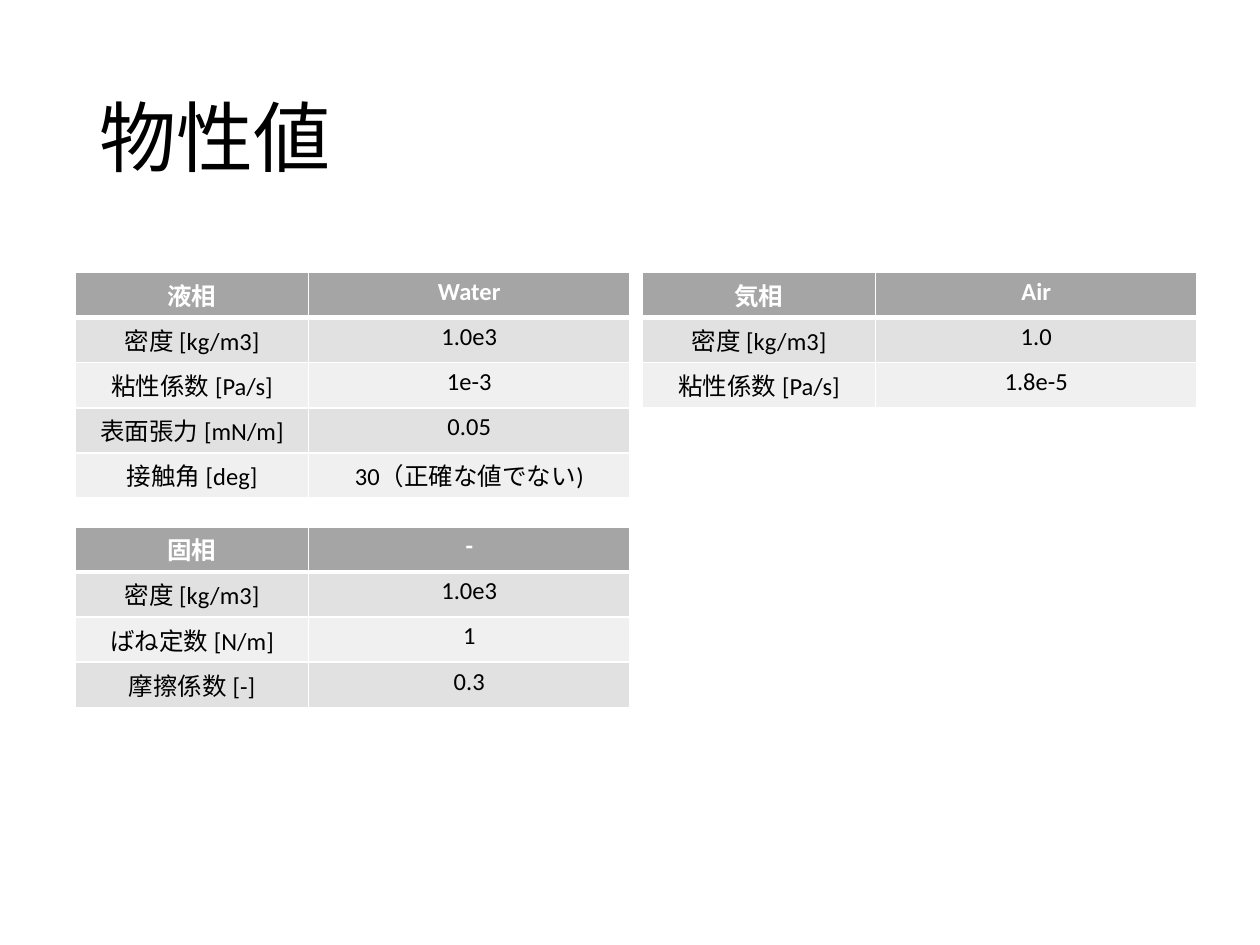
from lxml import etree
from pptx import Presentation
from pptx import util as u
from pptx.dml.color import RGBColor
from pptx.enum import text
from pptx.oxml.ns import qn

TITLE = "物性値"
LIQUID = [
    ("液相", "Water"),
    ("密度 [kg/m3]", "1.0e3"),
    ("粘性係数 [Pa/s]", "1e-3"),
    ("表面張力 [mN/m]", "0.05"),
    ("接触角 [deg]", "30（正確な値でない)"),
]
GAS = [
    ("気相", "Air"),
    ("密度 [kg/m3]", "1.0"),
    ("粘性係数 [Pa/s]", "1.8e-5"),
]
SOLID = [
    ("固相", "-"),
    ("密度 [kg/m3]", "1.0e3"),
    ("ばね定数 [N/m]", "1"),
    ("摩擦係数 [-]", "0.3"),
]

COLORS = {
    "header": "A5A5A5",
    "odd": "E1E1E1",
    "even": "F0F0F0",
    "white": "FFFFFF",
    "black": "000000",
}
FONT = "Calibri"
COLUMNS = (4.7, 6.48)
ROW = 0.91
LEFT, TOP = 1.52, 5.49
GAP_X, GAP_Y = 0.25, 0.58
RIGHT = LEFT + sum(COLUMNS) + GAP_X
LOWER = TOP + len(LIQUID) * ROW + GAP_Y
TABLES = [(LIQUID, LEFT, TOP), (GAS, RIGHT, TOP), (SOLID, LEFT, LOWER)]


def write(frame, words, size=14, color="black", bold=False,
          align=text.PP_ALIGN.CENTER, spacing=None):
    para = frame.paragraphs[0]
    para.alignment = align
    para.line_spacing = spacing
    span = para.add_run()
    span.text = words
    span.font.name = FONT
    span.font.size = u.Pt(size)
    span.font.bold = bold
    span.font.color.rgb = RGBColor.from_string(COLORS[color])


def add_borders(cell, bottom):
    properties = cell._tc.get_or_add_tcPr()
    widths = {"lnL": 1, "lnR": 1, "lnT": 1, "lnB": bottom}
    for position, (side, width) in enumerate(widths.items()):
        line = etree.Element(qn("a:" + side), w=str(u.Pt(width)))
        fill = etree.SubElement(line, qn("a:solidFill"))
        etree.SubElement(fill, qn("a:srgbClr"), val=COLORS["white"])
        properties.insert(position, line)


def add_property_table(page, rows, left, top):
    table = page.shapes.add_table(
        len(rows), len(COLUMNS), u.Cm(left), u.Cm(top),
        u.Cm(sum(COLUMNS)), u.Cm(ROW * len(rows))).table
    for column, width in zip(table.columns, COLUMNS):
        column.width = u.Cm(width)
    for r, row in enumerate(rows):
        table.rows[r].height = u.Cm(ROW)
        header = r == 0
        shade = "header" if header else "odd" if r % 2 else "even"
        for c, words in enumerate(row):
            cell = table.cell(r, c)
            cell.margin_left = cell.margin_right = u.Cm(0.19)
            cell.margin_top = cell.margin_bottom = u.Cm(0.09)
            cell.fill.solid()
            cell.fill.fore_color.rgb = RGBColor.from_string(COLORS[shade])
            add_borders(cell, bottom=3 if header else 1)
            write(cell.text_frame, words, bold=header,
                  color="white" if header else "black")


def main():
    deck = Presentation()
    deck.slide_width, deck.slide_height = u.Cm(25.4), u.Cm(19.05)
    page = deck.slides.add_slide(deck.slide_layouts[6])
    box = page.shapes.add_textbox(u.Cm(1.75), u.Cm(1.01), u.Cm(21.9), u.Cm(3.68))
    box.text_frame.word_wrap = True
    box.text_frame.vertical_anchor = text.MSO_ANCHOR.MIDDLE
    write(box.text_frame, TITLE, size=44, align=text.PP_ALIGN.LEFT, spacing=0.9)
    for rows, left, top in TABLES:
        add_property_table(page, rows, left, top)
    deck.save("out.pptx")


if __name__ == "__main__":
    main()
